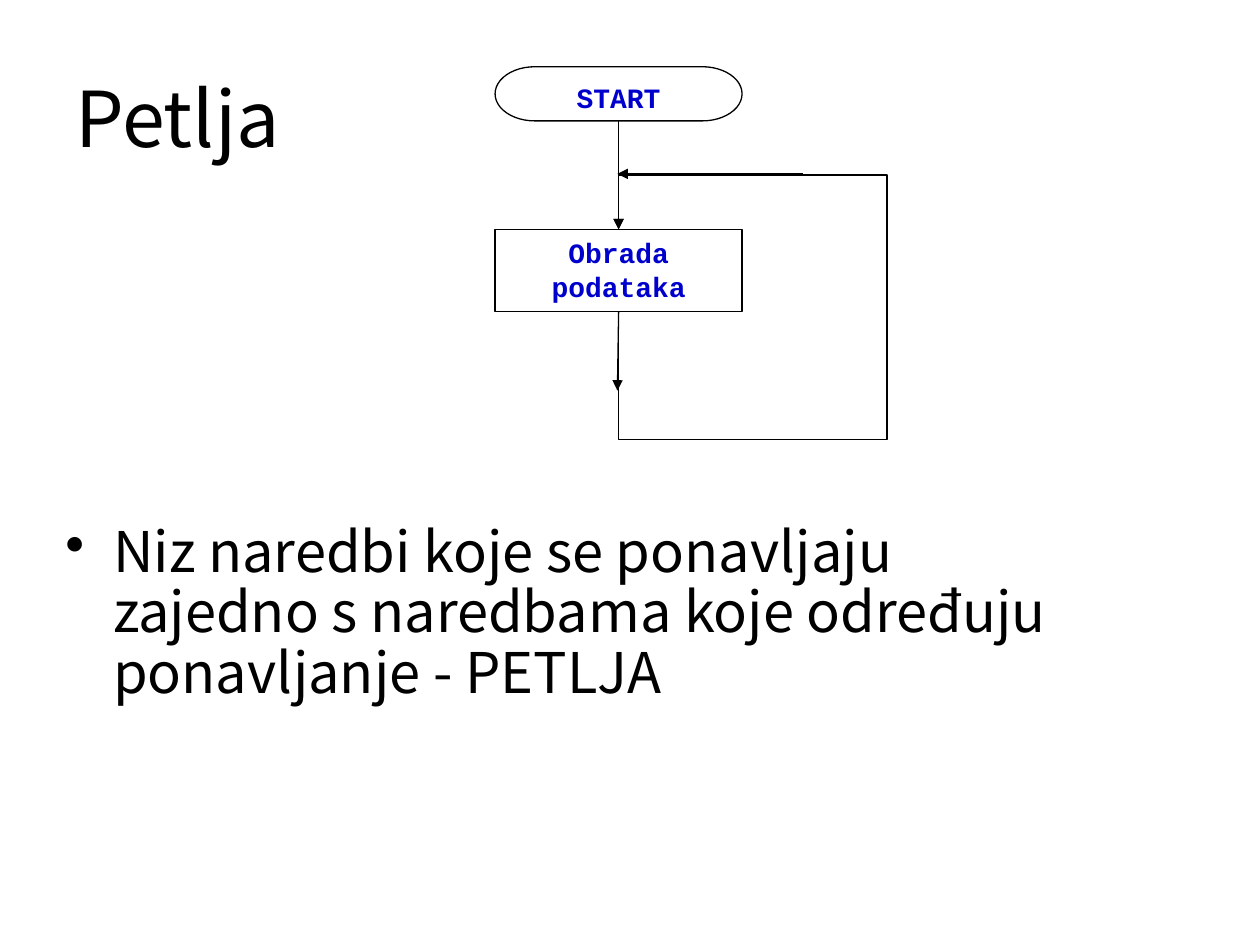
import lxml.etree
import pptx
import pptx.dml.color
import pptx.enum.shapes
import pptx.enum.text
import pptx.oxml
import pptx.oxml.ns
import pptx.util

Inches = pptx.util.Inches
Pt = pptx.util.Pt
SHAPE = pptx.enum.shapes.MSO_SHAPE
ALIGN = pptx.enum.text.PP_ALIGN
ANCHOR = pptx.enum.text.MSO_ANCHOR
BODY_FONT = "Noto Sans CJK KR"
BLACK = "000000"
WHITE = "FFFFFF"
BLUE = "0000CC"


def color(hex_value):
    """Return the colour for a hex string."""
    return pptx.dml.color.RGBColor.from_string(hex_value)


def add_element(parent, tag, **attributes):
    """Append a drawing element with its attributes."""
    element = lxml.etree.SubElement(parent, pptx.oxml.ns.qn(tag))
    for key, value in attributes.items():
        element.set(key, value)
    return element


def write_text(frame, text, size, font=BODY_FONT, hex_value=BLACK, bold=False,
               align=ALIGN.LEFT, anchor=ANCHOR.TOP, spacing=None, bullet=None):
    """Write one formatted paragraph into a text frame."""
    frame.word_wrap = True
    frame.vertical_anchor = anchor
    paragraph = frame.paragraphs[0]
    paragraph.alignment = align
    if spacing:
        paragraph.line_spacing = spacing
    if bullet:
        properties = paragraph._p.get_or_add_pPr()
        indent = Inches(0.38)
        properties.set("marL", str(indent))
        properties.set("indent", str(-indent))
        add_element(properties, "a:buChar", char=bullet)
    run = paragraph.add_run()
    run.text = text
    run.font.name = font
    run.font.size = Pt(size)
    run.font.bold = bold
    run.font.color.rgb = color(hex_value)


def draw_line(line, arrow=False):
    """Format a thin black line, with an arrowhead at its end if asked."""
    line.color.rgb = color(BLACK)
    line.width = Pt(0.75)
    if arrow:
        add_element(line._get_or_add_ln(), "a:tailEnd", type="triangle")


def add_step(slide, kind, left, top, width, height, label):
    """Add one labelled flowchart step."""
    step = slide.shapes.add_shape(
        kind, Inches(left), Inches(top), Inches(width), Inches(height))
    step.shadow.inherit = False
    step.fill.solid()
    step.fill.fore_color.rgb = color(WHITE)
    draw_line(step.line)
    write_text(step.text_frame, label, 16, font="Courier New",
               hex_value=BLUE, bold=True, align=ALIGN.CENTER)


def add_arrow(slide, start, end):
    """Add a straight arrow between two points."""
    points = [Inches(value) for value in (*start, *end)]
    arrow = slide.shapes.add_connector(
        pptx.enum.shapes.MSO_CONNECTOR.STRAIGHT, *points)
    draw_line(arrow.line, arrow=True)
    add_element(arrow._element.spPr, "a:effectLst")


def add_loop_path(slide, points):
    """Add the open path that leads back to the repeated step."""
    corners = [(Inches(x), Inches(y)) for x, y in points]
    builder = slide.shapes.build_freeform(*corners[0])
    builder.add_line_segments(corners[1:], close=False)
    path = builder.convert_to_shape()
    path.shadow.inherit = False
    path.fill.background()
    draw_line(path.line, arrow=True)


def add_flowchart(slide, left, top, width, height):
    """Draw the loop flowchart inside the given box."""
    step_width = 1.96
    center = left + step_width / 2
    right, bottom = left + width, top + height
    start_bottom = top + 0.43
    process_top = top + 1.29
    process_bottom = process_top + 0.65
    return_y = (start_bottom + process_top) / 2

    add_step(slide, SHAPE.FLOWCHART_TERMINATOR, left, top,
             step_width, start_bottom - top, "START")
    add_arrow(slide, (center, start_bottom), (center, process_top))
    add_step(slide, SHAPE.FLOWCHART_PROCESS, left, process_top,
             step_width, process_bottom - process_top, "Obrada podataka")
    add_loop_path(slide, [(center, process_bottom), (center, bottom),
                          (right, bottom), (right, return_y),
                          (center, return_y), (center, process_top)])
    add_arrow(slide, (center, process_bottom), (center - 0.01, process_bottom + 0.63))
    add_arrow(slide, (right - 0.67, return_y - 0.01), (center - 0.01, return_y - 0.01))


def add_text_region(slide, left, top, width, height, text, **text_format):
    """Add a text region in the given box."""
    region = slide.shapes.add_textbox(
        Inches(left), Inches(top), Inches(width), Inches(height))
    write_text(region.text_frame, text, **text_format)


def main():
    """Build and save the slide."""
    deck = pptx.Presentation()
    deck.slide_width = Inches(10)
    deck.slide_height = Inches(7.5)
    slide = deck.slides.add_slide(deck.slide_layouts[6])
    add_flowchart(slide, 3.93, 0.53, 3.11, 2.96)
    add_text_region(slide, 0.5, 0.3, 9, 1.25, "Petlja",
                    size=44, anchor=ANCHOR.MIDDLE)
    add_text_region(slide, 0.42, 4.11, 8.5, 3.39,
                    "Niz naredbi koje se ponavljaju zajedno s naredbama "
                    "koje određuju ponavljanje - PETLJA",
                    size=32, spacing=0.9, bullet="•")
    deck.save("out.pptx")


if __name__ == "__main__":
    main()
